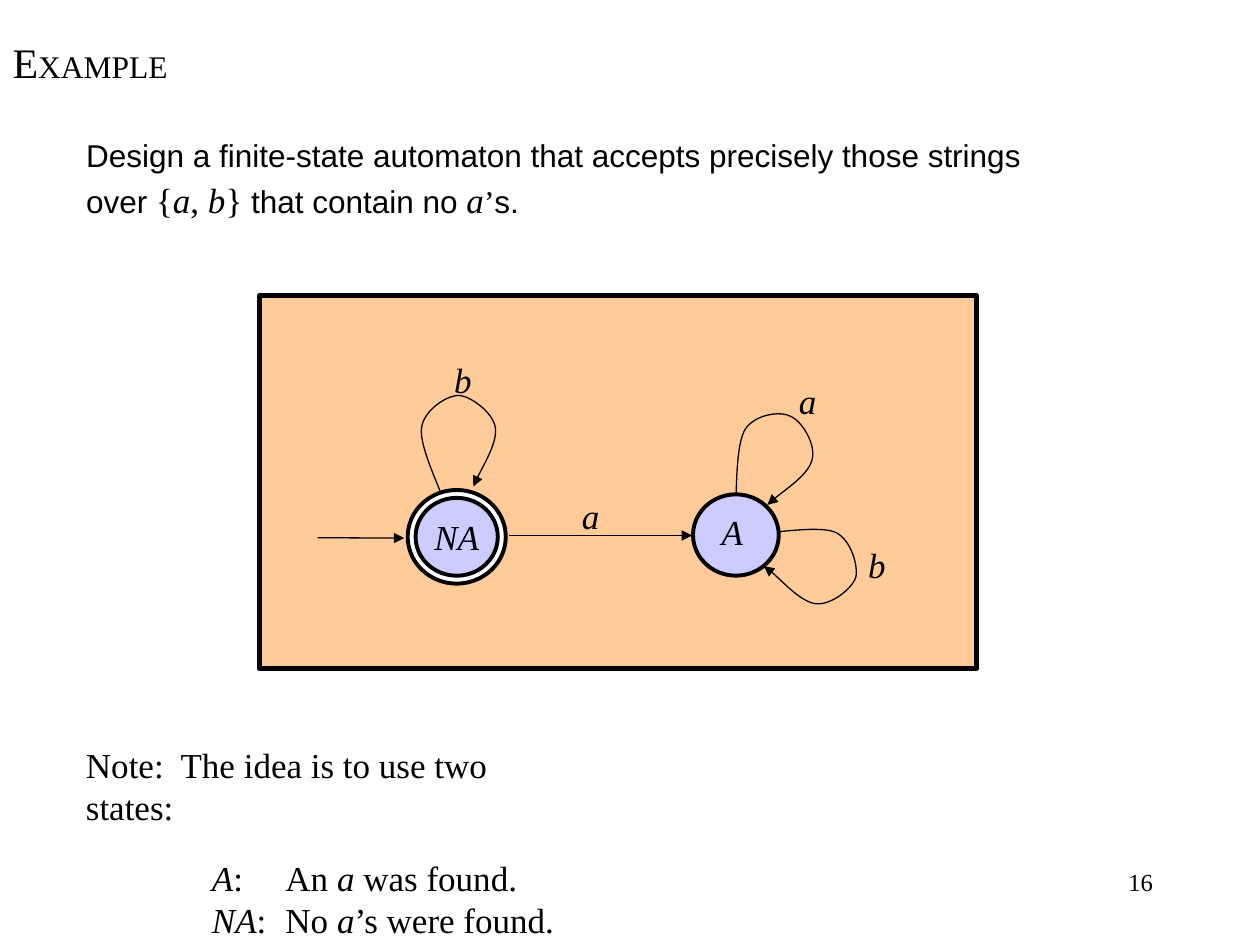
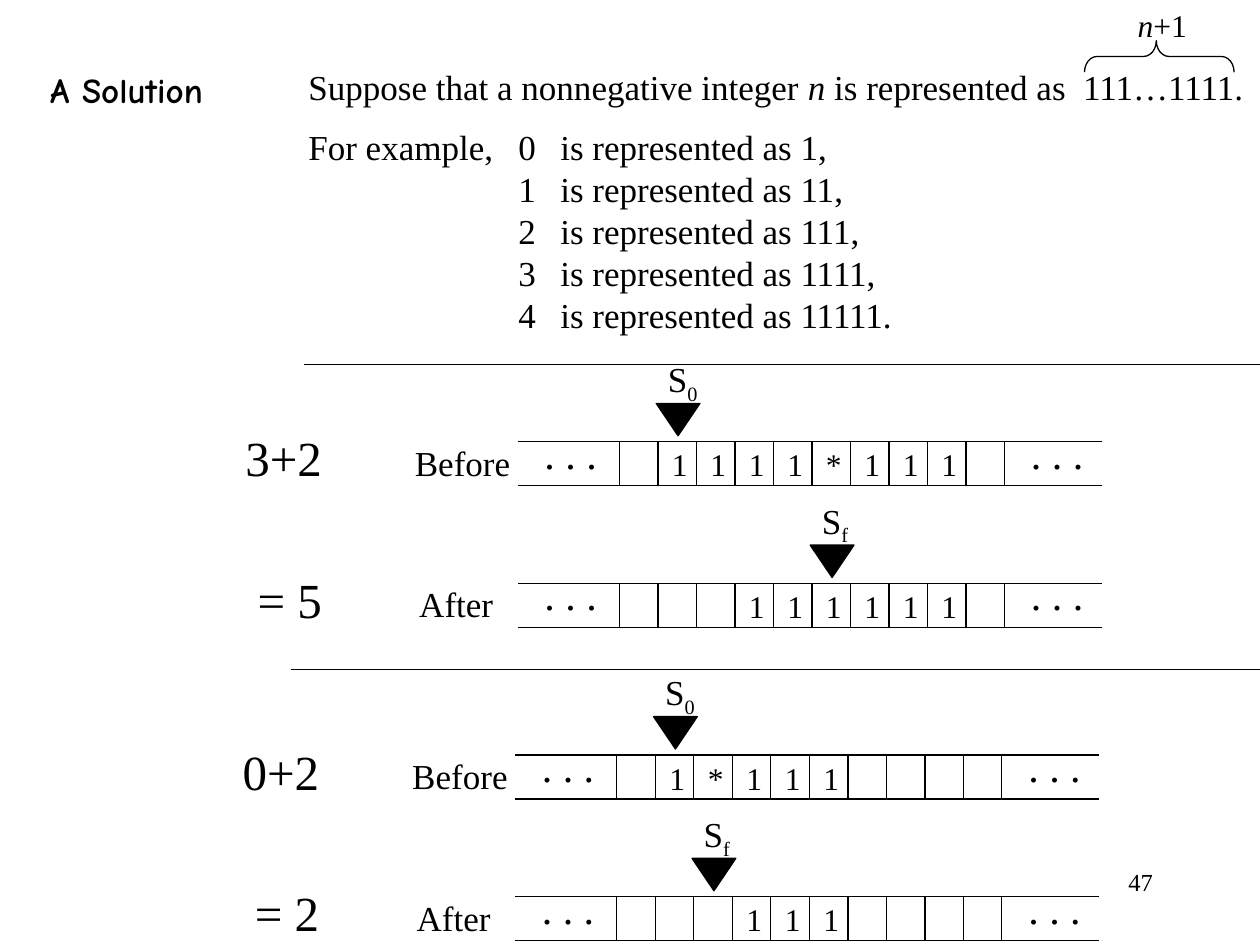
from lxml.etree import SubElement
from pptx import Presentation
from pptx.dml.color import RGBColor
from pptx.enum.shapes import MSO_CONNECTOR as LINK, MSO_SHAPE as SHAPE
from pptx.enum.text import MSO_ANCHOR as ANCHOR, MSO_AUTO_SIZE as FIT, PP_ALIGN as ALIGN
from pptx.oxml.ns import qn
from pptx.util import Pt

# ---- Shared look ----
COLORS = {"ink": "000000", "panel": "FFCC99", "state": "CCCCFF", "paper": "FFFFFF"}
SERIF, SANS, COMIC = "Times New Roman", "Arial", "Comic Neue"
LINE_FACTOR = 1.2
THIN, OUTLINE, FRAME = 0.75, 2.25, 3
NUMBER_BOX = (516, 492, 150, 36)

# Run styles
ITALIC = {"italic": True}
ARIAL = {"font": SANS, "size": 18}

# ---- Content: automaton slide ----
EXAMPLE_TITLE = [("E", {"size": 24}), ("XAMPLE", {"size": 18})]
TASK = [
    {"runs": [("Design a finite-state automaton that accepts precisely those strings", ARIAL)],
     "line": 16},
    {"runs": [("over ", ARIAL), ("{", {}), ("a", ITALIC), (", ", {}), ("b", ITALIC), ("}", {}),
              (" that contain no ", ARIAL), ("a", ITALIC), ("’", {"size": 18}), ("s.", ARIAL)],
     "line": 16, "before": 10.5},
]
NOTE = [
    {"runs": [("Note:  The idea is to use two states:", {})]},
    {"runs": [("A", ITALIC), (":\tAn ", {}), ("a", ITALIC), (" was found.", {})],
     "before": 16.5, "margin": 72, "tab": 42},
    {"runs": [("NA", ITALIC), (":\tNo ", {}), ("a", ITALIC), ("’s were found.", {})],
     "margin": 72, "tab": 42},
]
PANEL = (148.5, 169, 409.5, 213)
STATES = [  # label, fill, box, label shift up and left
    ("", "paper", (233, 280, 56, 53.5), 0),
    ("NA", "state", (237.5, 284.5, 47, 44.5), 0),
    ("A", "state", (396, 282.5, 49, 46.5), 2),
]
ARROWS = [((181.5, 307.3), (231, 307.5)), ((291, 306), (395.5, 306))]
LOOPS = [  # start point, then Bézier segments (control, control, end)
    ((437, 304.5), [((443.5, 304.5), (469.5, 300), (478, 304.5)),
                    ((486.5, 309), (490.5, 323.5), (489, 330)),
                    ((486.5, 337), (474.5, 346), (466, 345)),
                    ((457, 343.5), (443, 327.5), (436.5, 323.5))]),
    ((420.5, 286), [((421, 279.5), (420.5, 253.5), (426, 245)),
                    ((431.5, 237), (445.5, 234.5), (452, 238)),
                    ((458.5, 241), (466.5, 254), (464, 263)),
                    ((461.5, 271.5), (444, 283), (438.5, 288.5))]),
    ((252.5, 283.5), [((250.5, 277), (239, 253.5), (241, 244)),
                      ((242.5, 234.5), (255, 226), (262, 226)),
                      ((268.5, 226), (281.5, 235.5), (283, 244)),
                      ((284.5, 252.5), (273.5, 270.5), (270.5, 278))]),
]
INPUTS = [("b", 252.5, 201.5), ("b", 489, 307), ("a", 325.5, 279), ("a", 449.5, 213.5)]

# ---- Content: unary addition slide ----
SOLUTION_TITLE = [("A Solution", {"font": COMIC, "bold": True})]
UNARY = [
    {"runs": [("Suppose that a nonnegative integer ", {}), ("n", ITALIC),
              (" is represented as  111…1111.", {})]},
    {"runs": [("For example,\t0\tis represented as 1,", {})],
     "before": 10, "margin": 120, "indent": -120, "tab": 24},
] + [
    {"runs": [(f"{n}\tis represented as {'1' * (n + 1)}{'.' if n == 4 else ','}", {})],
     "margin": 120, "indent": 0, "tab": 24}
    for n in range(1, 5)
]
RULES = [(174, 208.5), (166.5, 382.5)]  # left end, height on the slide
SUMS = [  # tape corner, then rows: expression, stage, state, head cell, cells
    ((296, 252.5), [("3+2", "Before", "0", 1, " 1111*111 "),
                    ("= 5", "After", "f", 5, "   111111 ")]),
    ((294.5, 431.5), [("0+2", "Before", "0", 1, " 1*111    "),
                      ("= 2", "After", "f", 2, "   111    ")]),
]
CELL, TAPE_W, TAPE_H, TAPE_PITCH, FIRST_CELL = 22, 333.5, 25, 81, 58
HEAD_W, HEAD_H = 25, 18.5
STAGE_SHIFT = {"Before": -66, "After": -63.5}


# ---- Text ----
def rgb(name):
    return RGBColor.from_string(COLORS[name])


def write(frame, paragraphs, size=20, align=ALIGN.LEFT):
    frame.word_wrap = True
    frame.auto_size = FIT.NONE
    for i, item in enumerate(paragraphs):
        paragraph = frame.add_paragraph() if i else frame.paragraphs[0]
        props = paragraph._p.get_or_add_pPr()
        props.set("marL", str(Pt(item.get("margin", 0))))
        props.set("indent", str(Pt(item.get("indent", 0))))
        if "tab" in item:
            props.set("defTabSz", str(Pt(item["tab"])))
        SubElement(props, qn("a:buNone"))
        largest = max(style.get("size", size) for _, style in item["runs"])
        paragraph.alignment = align
        paragraph.line_spacing = Pt(item.get("line", largest * LINE_FACTOR))
        paragraph.space_before = Pt(item.get("before", 0))
        for text, style in item["runs"]:
            run = paragraph.add_run()
            run.text = text
            run.font.name = style.get("font", SERIF)
            run.font.size = Pt(style.get("size", size))
            run.font.bold = style.get("bold", False)
            run.font.italic = style.get("italic", False)
            run.font.color.rgb = rgb("ink")
            if "base" in style:
                run._r.get_or_add_rPr().set("baseline", str(style["base"] * 1000))


def one_line(*runs):
    return [{"runs": runs}]


def label(slide, box, *runs, size=20, align=ALIGN.LEFT):
    frame = slide.shapes.add_textbox(*map(Pt, box)).text_frame
    write(frame, one_line(*runs), size, align)
    return frame


def fill_placeholder(holder, box, paragraphs):
    holder.left, holder.top, holder.width, holder.height = map(Pt, box)
    holder.text_frame.vertical_anchor = ANCHOR.TOP
    write(holder.text_frame, paragraphs)


def new_slide(deck, title, title_box, body, body_box, number):
    slide = deck.slides.add_slide(deck.slide_layouts[1])
    fill_placeholder(slide.shapes.title, title_box, one_line(*title))
    fill_placeholder(slide.placeholders[1], body_box, body)
    label(slide, NUMBER_BOX, (number, {}), size=14, align=ALIGN.RIGHT)
    return slide


# ---- Drawing ----
def style_shape(shape, fill, width):
    shape.shadow.inherit = False
    if fill:
        shape.fill.solid()
        shape.fill.fore_color.rgb = rgb(fill)
    else:
        shape.fill.background()
    shape.line.color.rgb = rgb("ink")
    shape.line.width = Pt(width)


def add(slide, kind, box, fill=None, width=THIN):
    shape = slide.shapes.add_shape(kind, *map(Pt, box))
    style_shape(shape, fill, width)
    return shape


def arrowhead(shape):
    SubElement(shape.line._get_or_add_ln(), qn("a:tailEnd"), type="triangle")


def line(slide, start, end):
    link = slide.shapes.add_connector(LINK.STRAIGHT, *map(Pt, (*start, *end)))
    link.line.color.rgb = rgb("ink")
    link.line.width = Pt(THIN)
    SubElement(link._element.spPr, qn("a:effectLst"))
    return link


def loop(slide, start, segments):
    builder = slide.shapes.build_freeform(*map(Pt, start))
    builder.add_line_segments([tuple(map(Pt, point)) for segment in segments
                               for point in segment], close=False)
    curve = builder.convert_to_shape()
    # Every three straight steps become one Bézier segment
    outline = next(curve._element.iter(qn("a:path" )))
    steps = outline.findall(qn("a:lnTo"))
    for i in range(0, len(steps), 3):
        bend = SubElement(outline, qn("a:cubicBezTo"))
        for step in steps[i:i + 3]:
            bend.append(step[0])
            outline.remove(step)
    style_shape(curve, None, THIN)
    arrowhead(curve)


def no_insets(frame):
    frame.margin_left = frame.margin_right = frame.margin_top = frame.margin_bottom = 0


def tape_row(slide, left, top, row):
    expression, stage, state, head_cell, symbols = row
    cells_left = left + FIRST_CELL
    label(slide, (left - 203, top - 11.5, 98, 40), (expression, {}), size=28, align=ALIGN.RIGHT)
    label(slide, (left + STAGE_SHIFT[stage], top - 4, 80, 31), (stage, {}))

    # Tape edges, dividers and symbols
    for y in (top, top + TAPE_H):
        line(slide, (left, y), (left + TAPE_W, y))
    for i in range(len(symbols) + 1):
        x = cells_left + i * CELL
        line(slide, (x, top), (x, top + TAPE_H))
    for i, symbol in enumerate(symbols):
        if symbol != " ":
            no_insets(label(slide, (cells_left + i * CELL + 1.5, top + 2, CELL, 22),
                            (symbol, {}), size=18, align=ALIGN.CENTER))
    for shift in (8, 286):
        label(slide, (left + shift, top - 12, 60, 36), (". . .", {}), size=24)

    # Reading head and its state
    head_left = cells_left + (head_cell + 0.5) * CELL - HEAD_W / 2 + 0.5
    add(slide, SHAPE.FLOWCHART_MERGE, (head_left, top - 22, HEAD_W, HEAD_H), "ink")
    label(slide, (head_left - 0.5, top - 48.5, 40, 31), ("S", {}), (state, {"base": -25}))


# ---- Slides ----
def automaton_slide(deck):
    slide = new_slide(deck, EXAMPLE_TITLE, (0, 17, 200, 36), TASK, (42, 80, 623, 51), "16")
    write(slide.shapes.add_textbox(*map(Pt, (42, 421.5, 298, 118))).text_frame, NOTE)
    add(slide, SHAPE.RECTANGLE, PANEL, "panel", FRAME)
    for start, segments in LOOPS:
        loop(slide, start, segments)
    for name, fill, box, shift in STATES:
        state = add(slide, SHAPE.OVAL, box, fill, OUTLINE)
        if name:
            frame = state.text_frame
            no_insets(frame)
            frame.margin_right = frame.margin_bottom = Pt(2 * shift)
            frame.vertical_anchor = ANCHOR.MIDDLE
            write(frame, one_line((name, ITALIC)), align=ALIGN.CENTER)
            frame.word_wrap = False
    for start, end in ARROWS:
        arrowhead(line(slide, start, end))
    for symbol, x, y in INPUTS:
        label(slide, (x, y, 30, 31), (symbol, ITALIC))


def addition_slide(deck):
    slide = new_slide(deck, SOLUTION_TITLE, (21.5, 35.5, 140, 31),
                      UNARY, (169, 34, 551, 161), "47")
    slide.placeholders[1].text_frame.margin_right = 0
    label(slide, (643, 0, 60, 29), ("n", ITALIC), ("+1", {}), size=18)
    brace = add(slide, SHAPE.RIGHT_BRACE, (653.5, -10.5, 18, 85.5))
    brace.rotation = 270
    brace.adjustments[0], brace.adjustments[1] = 0.4, 0.48
    for x, y in RULES:
        line(slide, (x, y), (720, y))
    for (left, top), rows in SUMS:
        for i, row in enumerate(rows):
            tape_row(slide, left, top + i * TAPE_PITCH, row)


def main():
    deck = Presentation()
    deck.slide_width, deck.slide_height = Pt(720), Pt(540)
    automaton_slide(deck)
    addition_slide(deck)
    deck.save("out.pptx")


if __name__ == "__main__":
    main()
